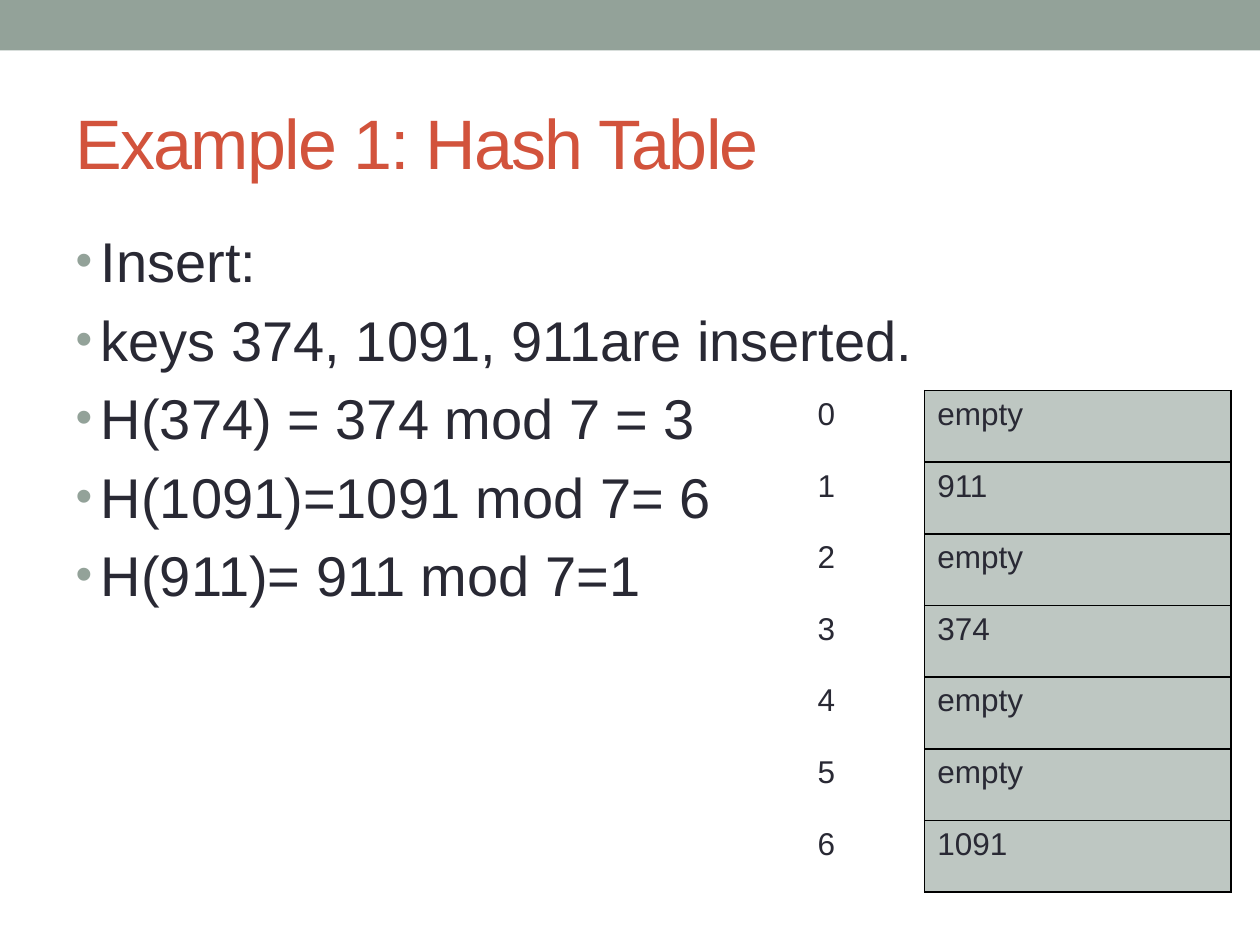
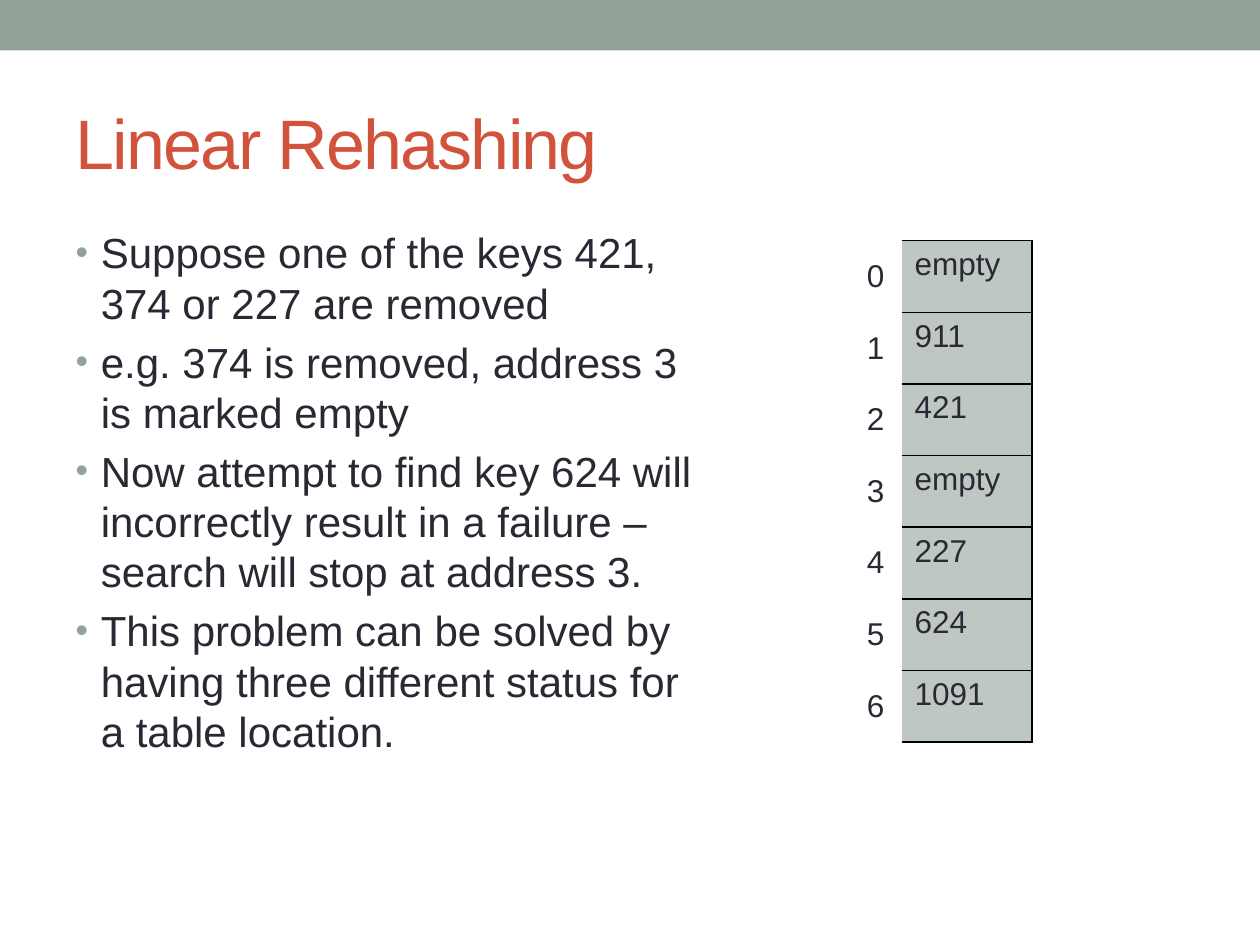
from lxml import etree
from pptx import Presentation
from pptx.dml.color import RGBColor
from pptx.enum.shapes import MSO_SHAPE
from pptx.enum.text import MSO_ANCHOR, MSO_AUTO_SIZE, PP_ALIGN
from pptx.oxml import parse_xml
from pptx.oxml.ns import nsdecls, qn
from pptx.util import Pt

RECTANGLE = MSO_SHAPE.RECTANGLE
TOP, MIDDLE = MSO_ANCHOR.TOP, MSO_ANCHOR.MIDDLE
NO_FIT = MSO_AUTO_SIZE.NONE
LEFT, CENTER = PP_ALIGN.LEFT, PP_ALIGN.CENTER

SAGE = RGBColor(0x93, 0xA2, 0x99)
PALE_SAGE = RGBColor(0xBE, 0xC7, 0xC2)
RUST = RGBColor(0xD2, 0x53, 0x3C)
INK = RGBColor(0x29, 0x29, 0x34)
BLACK = RGBColor(0x00, 0x00, 0x00)
FONT = "Arial"
NO_GRID_STYLE = "{2D5ABB26-0587-4C30-8999-92F81FD0307C}"
ROW_HEIGHT = 40.95

SLIDES = [
    {
        "title": "Example 1: Hash Table",
        "bullets": [
            "Insert:",
            "keys 374, 1091, 911are inserted.",
            "H(374) = 374 mod 7 = 3",
            "H(1091)=1091 mod 7= 6",
            "H(911)= 911 mod 7=1",
        ],
        "size": 32,
        "body_width": 648,
        "table_at": (460, 223.2),
        "columns": [40.3, 28.1, 175],
        "values": ["empty", "911", "empty", "374", "empty", "empty", "1091"],
        "label_style": (LEFT, TOP),
        "borders": ["lnL", "lnR", "lnT", "lnB"],
    },
    {
        "title": "Linear Rehashing",
        "bullets": [
            "Suppose one of the keys 421, 374 or 227 are removed",
            "e.g. 374 is removed, address 3 is marked empty",
            "Now attempt to find key 624 will incorrectly result in a failure "
            "– search will stop at address 3.",
            "This problem can be solved by having three different status for "
            "a table location.",
        ],
        "size": 24,
        "body_width": 366.5,
        "table_at": (485.3, 137.5),
        "columns": [30.2, 74.2],
        "values": ["empty", "911", "421", "empty", "227", "624", "1091"],
        "label_style": (CENTER, MIDDLE),
        "borders": ["lnR", "lnT", "lnB"],
    },
]


def style_text(p, text, size, color, align=LEFT):
    p.text = text
    p.alignment = align
    p.font.name = FONT
    p.font.size = Pt(size)
    p.font.color.rgb = color


def add_bullet(p):
    pPr = p._p.get_or_add_pPr()
    pPr.set("marL", str(Pt(14.4)))
    pPr.set("indent", str(Pt(-14.4)))
    parts = parse_xml(
        f'<a:pPr {nsdecls("a")}>'
        '<a:spcBef><a:spcPct val="20000"/></a:spcBef>'
        f'<a:buClr><a:srgbClr val="{SAGE}"/></a:buClr>'
        '<a:buSzPct val="85000"/>'
        f'<a:buFont typeface="{FONT}"/><a:buChar char="•"/></a:pPr>'
    )
    for i, part in enumerate(list(parts)):
        pPr.insert(i, part)


prs = Presentation()
prs.slide_width, prs.slide_height = Pt(720), Pt(540)
layout = prs.slide_layouts[1]

for number, content in enumerate(SLIDES):
    s = prs.slides.add_slide(layout)

    if number == 0:
        band = s.shapes.add_shape(RECTANGLE, 0, 0, Pt(720), Pt(28.8))
        band.shadow.inherit = False
        band.fill.solid()
        band.fill.fore_color.rgb = SAGE
        band.line.fill.background()
        band.element.nvSpPr.cNvPr.set("id", "20")
        prs.slide_master.shapes.element.insert(2, band.element)

    title = s.shapes.title
    title.left, title.top = Pt(36), Pt(41.8)
    title.width, title.height = Pt(648), Pt(77.8)
    tf = title.text_frame
    tf.auto_size = NO_FIT
    tf.vertical_anchor = MIDDLE
    p = tf.paragraphs[0]
    style_text(p, content["title"], 40, RUST)
    p.runs[0].font._element.set("spc", "-100")

    body = s.placeholders[1]
    body.left, body.top = Pt(36), Pt(126)
    body.width, body.height = Pt(content["body_width"]), Pt(383.8)
    tf = body.text_frame
    tf.auto_size = NO_FIT
    for i, text in enumerate(content["bullets"]):
        p = tf.add_paragraph() if i else tf.paragraphs[0]
        style_text(p, text, content["size"], INK)
        add_bullet(p)

    values, columns = content["values"], content["columns"]
    left, top = content["table_at"]
    frame = s.shapes.add_table(
        len(values), len(columns), Pt(left), Pt(top),
        Pt(sum(columns)), Pt(ROW_HEIGHT * len(values)))
    table = frame.table
    table.first_row = table.horz_banding = False
    for style in frame.element.iter(qn("a:tableStyleId")):
        style.text = NO_GRID_STYLE
    for column, width in zip(table.columns, columns):
        column.width = Pt(width)

    align, anchor = content["label_style"]
    for row, value in enumerate(values):
        table.rows[row].height = Pt(ROW_HEIGHT)
        for cell in table.rows[row].cells:
            cell.fill.background()

        label = table.cell(row, 0)
        label.vertical_anchor = anchor
        style_text(label.text_frame.paragraphs[0], str(row), 18, INK, align)

        slot = table.cell(row, len(columns) - 1)
        style_text(slot.text_frame.paragraphs[0], value, 18, INK)
        slot.fill.solid()
        slot.fill.fore_color.rgb = PALE_SAGE
        tcPr = slot._tc.get_or_add_tcPr()
        for i, side in enumerate(content["borders"]):
            ln = etree.Element(qn(f"a:{side}"), w=str(Pt(1)))
            fill = etree.SubElement(ln, qn("a:solidFill"))
            etree.SubElement(fill, qn("a:srgbClr"), val=str(BLACK))
            tcPr.insert(i, ln)

prs.save("out.pptx")
